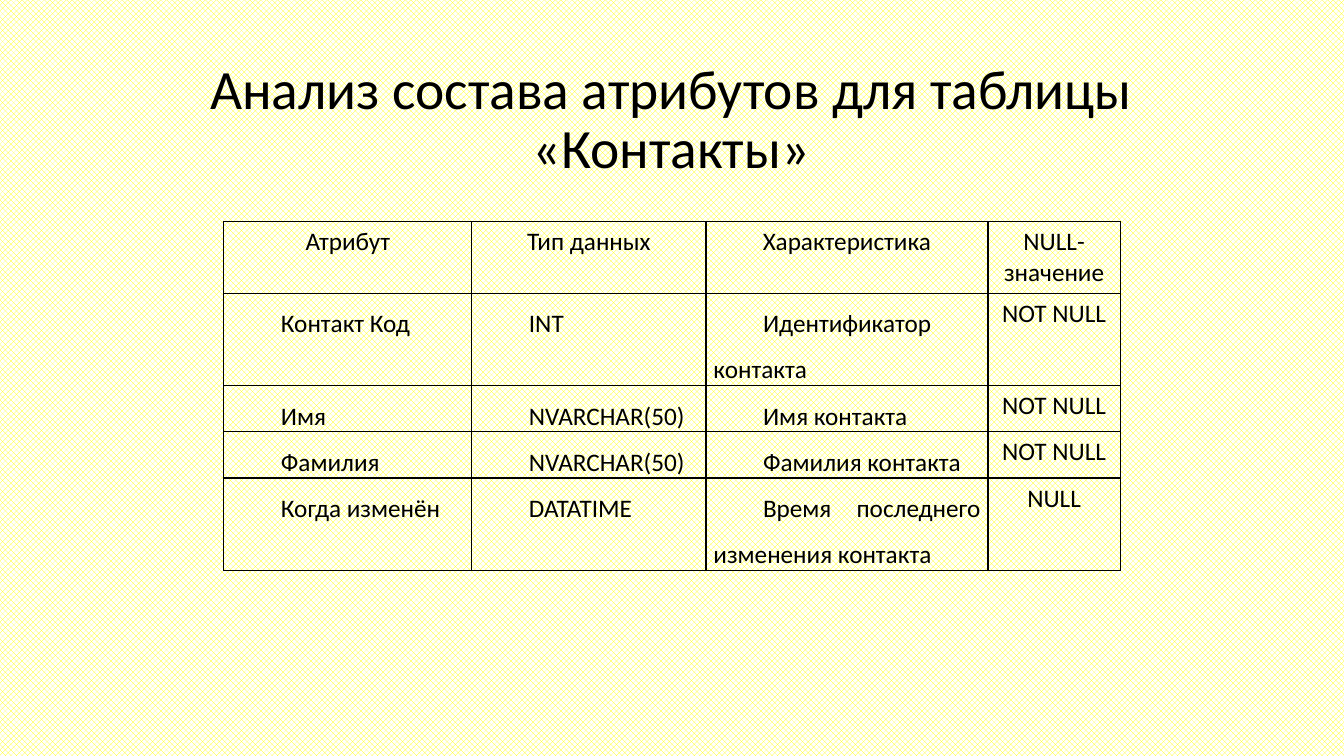
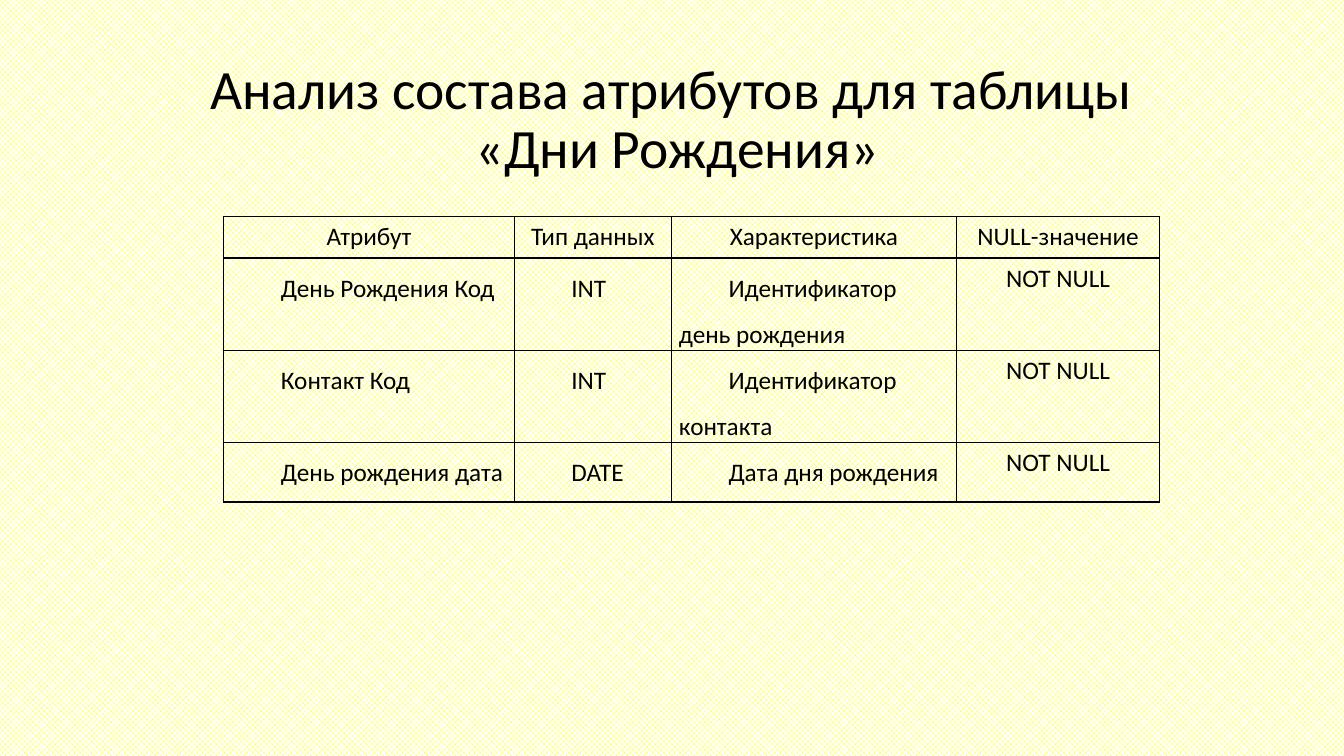
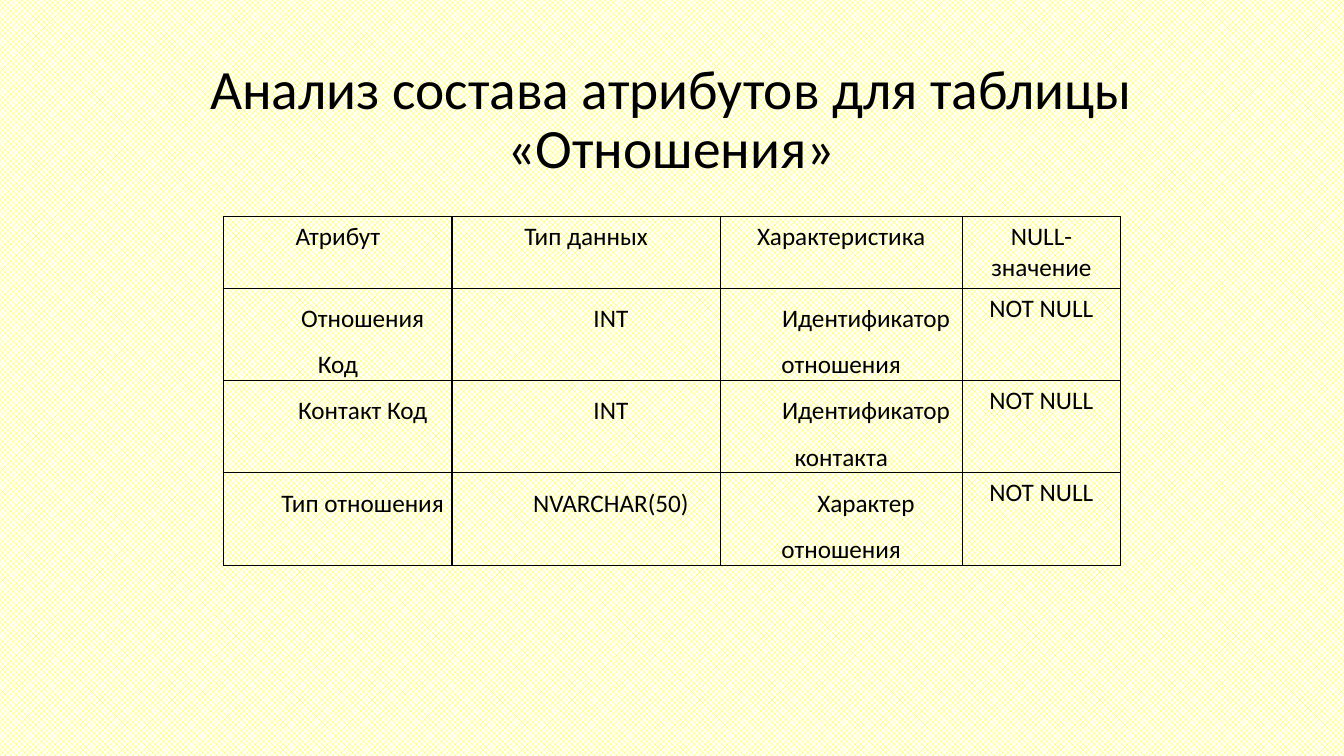
from lxml import etree
from pptx import Presentation
from pptx.dml.color import RGBColor
from pptx.enum.dml import MSO_PATTERN
from pptx.enum.text import MSO_ANCHOR, MSO_AUTO_SIZE, PP_ALIGN as ALIGN
from pptx.oxml import parse_xml
from pptx.oxml.ns import nsdecls
from pptx.util import Cm, Pt

BLACK = RGBColor(0, 0, 0)
WHITE = RGBColor(255, 255, 255)
YELLOW = RGBColor(255, 255, 0)
FONT = "Calibri"
TITLE_START = "Анализ состава атрибутов для таблицы"
HEADER = ("Атрибут", "Тип данных", "Характеристика", "NULL-значение")

# Tables: title ending, top, column widths, row heights (cm), alignments, rows
TABLES = [
    (" «Контакты»", 5.59, (6.25, 5.9, 7.11, 3.33), (0.97, 1.85, 1.04, 1.04, 1.04),
     (ALIGN.LEFT, ALIGN.JUSTIFY, ALIGN.JUSTIFY),
     [("Контакт Код", "INT", "Идентификатор контакта", "NOT NULL"),
      ("Имя", "NVARCHAR(50)", "Имя контакта", "NOT NULL"),
      ("Фамилия", "NVARCHAR(50)", "Фамилия контакта", "NOT NULL"),
      ("Когда изменён", "DATATIME", "Время последнего изменения контакта", "NULL")]),
    ("\n «Дни Рождения»", 5.46, (7.32, 3.96, 7.19, 5.11), (1.04, 1.04, 1.04, 1.5),
     (ALIGN.JUSTIFY,) * 3,
     [("День Рождения Код", "INT", "Идентификатор день рождения", "NOT NULL"),
      ("Контакт Код", "INT", "Идентификатор контакта", "NOT NULL"),
      ("День рождения дата", "DATE", "Дата дня рождения", "NOT NULL")]),
    (" «Отношения»", 5.46, (5.75, 6.76, 6.1, 3.99), (1.04,) * 4,
     (ALIGN.CENTER,) * 3,
     [("Отношения Код", "INT", "Идентификатор отношения", "NOT NULL"),
      ("Контакт Код", "INT", "Идентификатор контакта", "NOT NULL"),
      ("Тип отношения", "NVARCHAR(50)", "Характер отношения", "NOT NULL")]),
]


def add_text(paragraph, text, size):
    run = paragraph.add_run()
    run.text = text
    run.font.name = FONT
    run.font.size = Pt(size)
    run.font.color.rgb = BLACK


def add_borders(cell):
    properties = cell._tc.get_or_add_tcPr()
    for position, side in enumerate(("lnL", "lnR", "lnT", "lnB")):
        line = parse_xml(f'<a:{side} {nsdecls("a")} w="{Pt(1)}"><a:solidFill/></a:{side}>')
        color = etree.SubElement(line[0], line[0].tag.replace("solidFill", "srgbClr"))
        color.set("val", str(BLACK))
        properties.insert(position, line)


presentation = Presentation()
presentation.slide_width = Cm(33.87)
presentation.slide_height = Cm(19.05)

# Shared background
background = presentation.slide_master.background.fill
background.patterned()
background.pattern = MSO_PATTERN.SOLID_DIAMOND
background.fore_color.rgb = YELLOW
background.back_color.rgb = WHITE
layout = presentation.slide_layouts[5]

for title_end, top, widths, heights, alignments, rows in TABLES:
    slide = presentation.slides.add_slide(layout)

    # Title
    title = slide.shapes.title
    title.left, title.top, title.width, title.height = Cm(2.54), Cm(1.7), Cm(28.75), Cm(2.7)
    title.text_frame.auto_size = MSO_AUTO_SIZE.NONE
    title.text_frame.vertical_anchor = MSO_ANCHOR.MIDDLE
    paragraph = title.text_frame.paragraphs[0]
    paragraph.alignment = ALIGN.CENTER
    paragraph.line_spacing = 0.9
    for number, line_text in enumerate((TITLE_START + title_end).split("\n")):
        if number:
            paragraph.add_line_break()
        add_text(paragraph, line_text, 39.6)

    # Table grid
    table = slide.shapes.add_table(len(heights), len(widths), Cm(5.64), Cm(top),
                                   Cm(sum(widths)), Cm(sum(heights))).table
    table.first_row = table.horz_banding = False
    for column, width in zip(table.columns, widths):
        column.width = Cm(width)
    for row, height in zip(table.rows, heights):
        row.height = Cm(height)

    # Cells: the header and the last column are centred, the others indented
    for row_number, texts in enumerate([HEADER] + rows):
        for column_number, text in enumerate(texts):
            cell = table.cell(row_number, column_number)
            cell.fill.background()
            add_borders(cell)
            paragraph = cell.text_frame.paragraphs[0]
            paragraph.alignment = ALIGN.CENTER
            if row_number > 0 and column_number < len(alignments):
                cell.margin_left = cell.margin_right = Cm(0.19)
                cell.margin_top = cell.margin_bottom = 0
                paragraph.alignment = alignments[column_number]
                paragraph.line_spacing = 1.5
                paragraph._p.get_or_add_pPr().set("indent", str(Cm(1.25)))
            add_text(paragraph, text, 18)

presentation.save("out.pptx")
